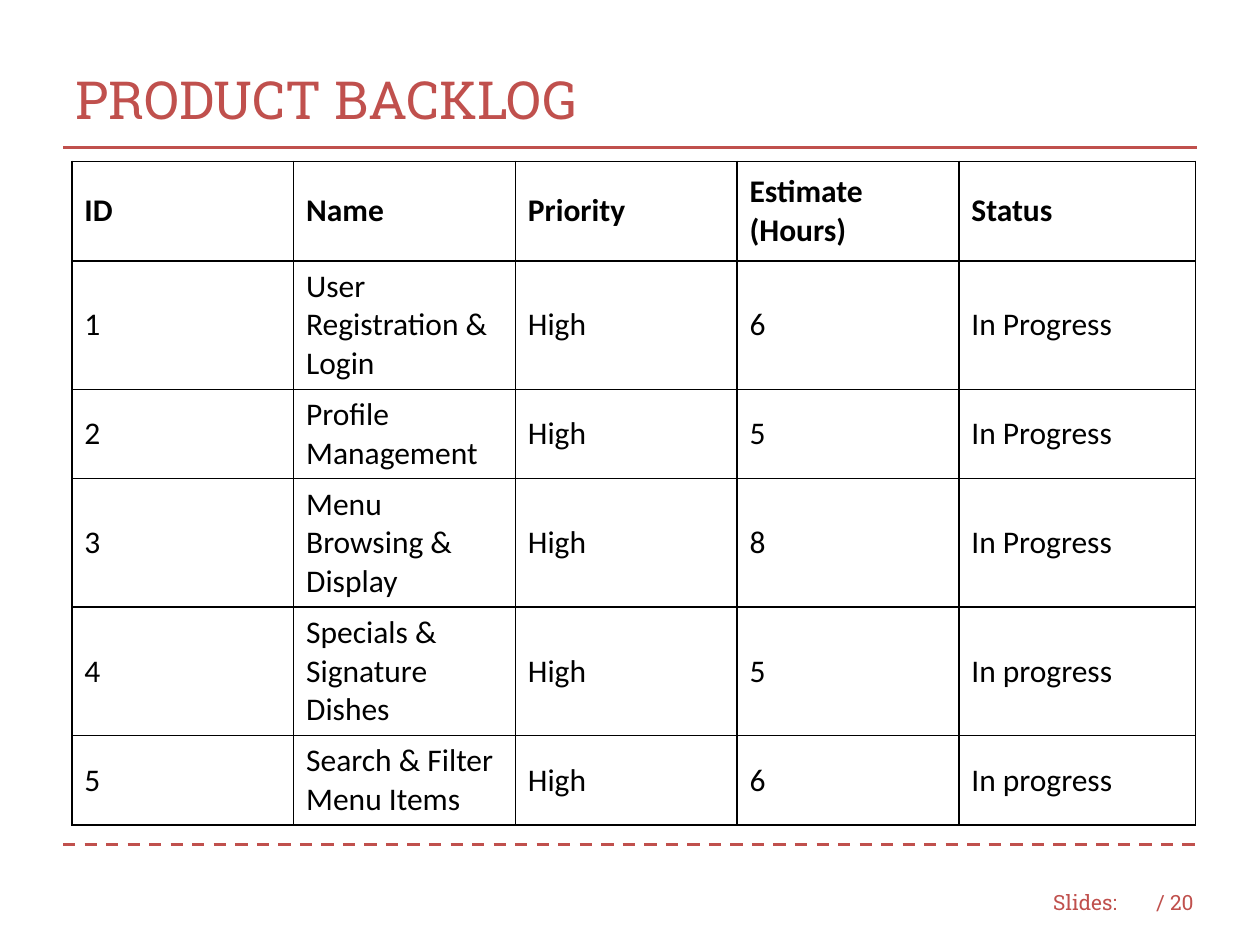
from dataclasses import dataclass

from lxml import etree
from pptx import Presentation
from pptx.dml.color import RGBColor
from pptx.enum.dml import MSO_LINE
from pptx.enum.shapes import MSO_CONNECTOR
from pptx.enum.text import MSO_ANCHOR, PP_ALIGN
from pptx.oxml.ns import qn
from pptx.util import Inches, Pt

MIDDLE, LEFT = MSO_ANCHOR.MIDDLE, PP_ALIGN.LEFT
STRAIGHT = MSO_CONNECTOR.STRAIGHT
SOLID, DASH = MSO_LINE.SOLID, MSO_LINE.DASH
RED = RGBColor(0xC0, 0x50, 0x4D)
BLACK = RGBColor(0, 0, 0)
WHITE = RGBColor(0xFF, 0xFF, 0xFF)

SLIDE_W, SLIDE_H = 10, 7.5
MARGIN = 0.05 * SLIDE_W
CONTENT_W = SLIDE_W - 2 * MARGIN
TABLE_LEFT, TABLE_TOP = 0.57, 1.28
COL_WIDTHS = [1.76] * 4 + [1.88]
TWO_LINES, THREE_LINES = 0.71, 1.02
BORDER_PT = 0.96

TITLE_FORMAT = {"name": "Roboto Slab", "size": Pt(30)}
FOOTER_FORMAT = {"name": "Roboto Slab", "size": Pt(12)}
CELL_FORMAT = {"name": "Calibri", "size": Pt(18)}


@dataclass
class Row:
    height: float
    texts: tuple[str, ...]


@dataclass
class Rule:
    y: float
    dash: MSO_LINE


@dataclass
class FooterPart:
    text: str
    left: float
    width: float


BACKLOG = [
    Row(0.79, ("ID", "Name", "Priority", "Estimate (Hours)", "Status")),
    Row(THREE_LINES, ("1", "User Registration & Login", "High", "6", "In Progress")),
    Row(TWO_LINES, ("2", "Profile Management", "High", "5", "In Progress")),
    Row(THREE_LINES, ("3", "Menu Browsing & Display", "High", "8", "In Progress")),
    Row(THREE_LINES, ("4", "Specials & Signature Dishes", "High", "5", "In progress")),
    Row(TWO_LINES, ("5", "Search & Filter Menu Items", "High", "6", "In progress")),
]
RULES = [Rule(1.17, SOLID), Rule(6.7, DASH)]
FOOTER = [FooterPart("Slides:", 8.26, 0.75), FooterPart("/ 20", 9.08, 0.58)]


def write(tf, text: str, font_format: dict, color: RGBColor, bold: bool = False) -> None:
    p = tf.paragraphs[0]
    p.alignment = LEFT
    r = p.add_run()
    r.text = text
    for name, value in font_format.items():
        setattr(r.font, name, value)
    r.font.bold = bold
    r.font.color.rgb = color


def place_title(slide, text: str) -> None:
    sp = slide.shapes.title
    sp.left, sp.top = Inches(MARGIN), Inches(0.33)
    sp.width, sp.height = Inches(CONTENT_W), Inches(0.91)
    sp.text_frame.vertical_anchor = MIDDLE
    write(sp.text_frame, text, TITLE_FORMAT, RED)


def draw_rule(slide, rule: Rule) -> None:
    y = Inches(rule.y)
    line = slide.shapes.add_connector(
        STRAIGHT, Inches(MARGIN), y, Inches(MARGIN + CONTENT_W), y)
    line.line.color.rgb = RED
    line.line.width = Pt(1.75)
    line.line.dash_style = rule.dash
    etree.SubElement(line._element.spPr, qn("a:effectLst"))


def draw_footer_part(slide, part: FooterPart) -> None:
    box = slide.shapes.add_textbox(
        Inches(part.left), Inches(6.96), Inches(part.width), Inches(0.4))
    tf = box.text_frame
    tf.word_wrap = True
    tf.vertical_anchor = MIDDLE
    write(tf, part.text, FOOTER_FORMAT, RED)


def add_borders(cell) -> None:
    """Put a line on each side; borders must precede the fill in the XML."""
    tc_pr = cell._tc.get_or_add_tcPr()
    for i, side in enumerate(("lnL", "lnR", "lnT", "lnB")):
        ln = etree.Element(qn(f"a:{side}"), w=str(Pt(BORDER_PT)))
        fill = etree.SubElement(ln, qn("a:solidFill"))
        etree.SubElement(fill, qn("a:srgbClr"), val=str(BLACK))
        tc_pr.insert(i, ln)


def draw_table(slide, rows: list[Row]) -> None:
    height = sum(row.height for row in rows)
    table = slide.shapes.add_table(
        len(rows), len(COL_WIDTHS), Inches(TABLE_LEFT), Inches(TABLE_TOP),
        Inches(sum(COL_WIDTHS)), Inches(height)).table
    table.horz_banding = False
    for col, width in zip(table.columns, COL_WIDTHS):
        col.width = Inches(width)
    for i, row in enumerate(rows):
        table.rows[i].height = Inches(row.height)
        for cell, text in zip(table.rows[i].cells, row.texts):
            cell.fill.solid()
            cell.fill.fore_color.rgb = WHITE
            cell.vertical_anchor = MIDDLE
            write(cell.text_frame, text, CELL_FORMAT, BLACK, bold=i == 0)
            add_borders(cell)


def main() -> None:
    prs = Presentation()
    prs.slide_width, prs.slide_height = Inches(SLIDE_W), Inches(SLIDE_H)
    slide = prs.slides.add_slide(prs.slide_layouts.get_by_name("Title Only"))
    for part in FOOTER:
        draw_footer_part(slide, part)
    for rule in RULES:
        draw_rule(slide, rule)
    place_title(slide, "PRODUCT BACKLOG")
    draw_table(slide, BACKLOG)
    prs.save("out.pptx")


if __name__ == "__main__":
    main()
